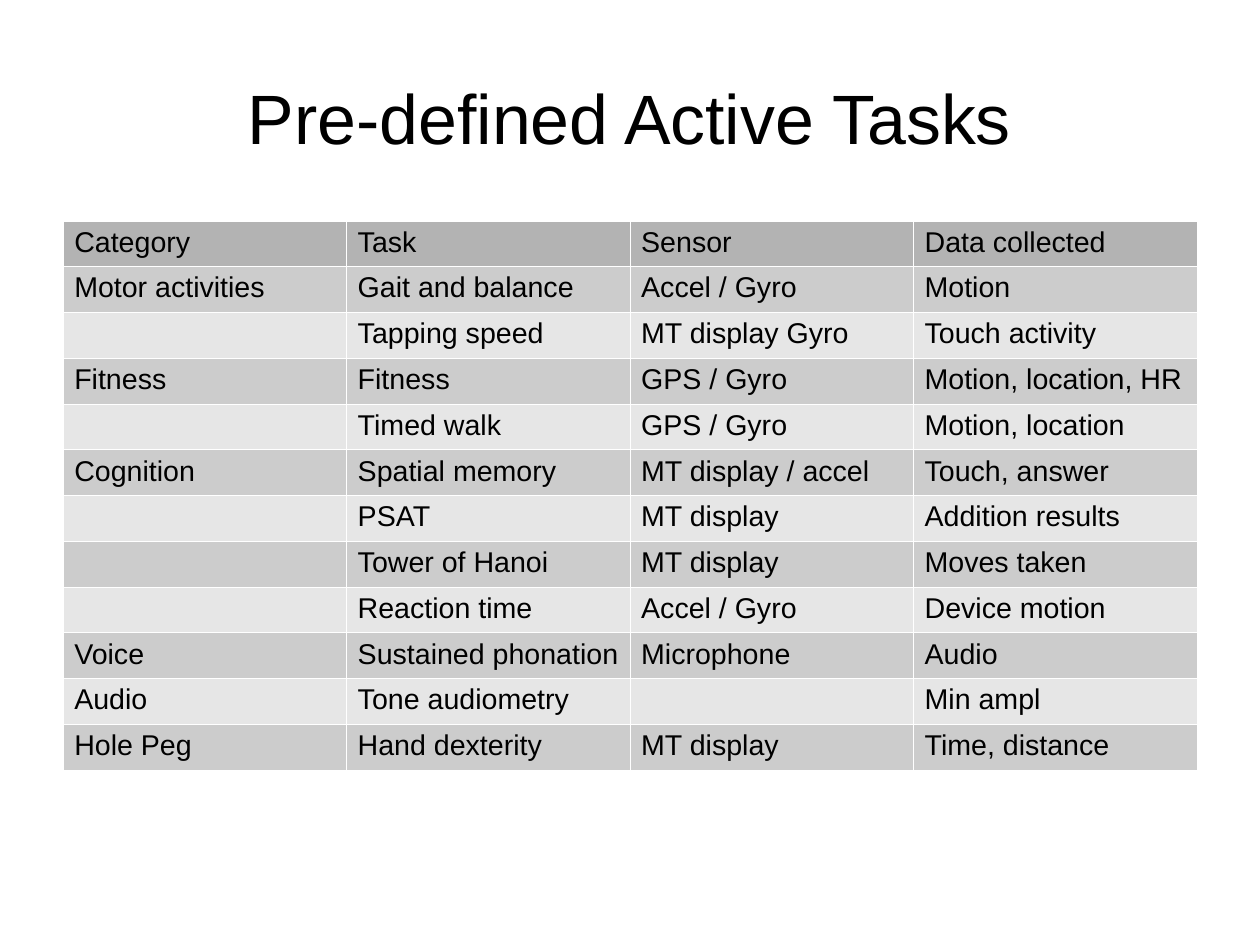
from lxml import etree
from pptx import Presentation
from pptx import util as u
from pptx.dml.color import RGBColor
from pptx.enum import text
from pptx.oxml.ns import qn

TITLE = "Pre-defined Active Tasks"
TASKS = [
    ("Category", "Task", "Sensor", "Data collected"),
    ("Motor activities", "Gait and balance", "Accel / Gyro", "Motion"),
    ("", "Tapping speed", "MT display Gyro", "Touch activity"),
    ("Fitness", "Fitness", "GPS / Gyro", "Motion, location, HR"),
    ("", "Timed walk", "GPS / Gyro", "Motion, location"),
    ("Cognition", "Spatial memory", "MT display / accel", "Touch, answer"),
    ("", "PSAT", "MT display", "Addition results"),
    ("", "Tower of Hanoi", "MT display", "Moves taken"),
    ("", "Reaction time", "Accel / Gyro", "Device motion"),
    ("Voice", "Sustained phonation", "Microphone", "Audio"),
    ("Audio", "Tone audiometry", "", "Min ampl"),
    ("Hole Peg", "Hand dexterity", "MT display", "Time, distance"),
]
THEME = {
    "font": "Arial", "ink": "000000", "border": "FFFFFF", "border_width": 0.06,
    "header": "B3B3B3", "bands": ("E6E6E6", "CCCCCC"),
    "title_size": 44, "cell_size": 18,
}
CM_PER_INCH = 2.54
PAGE_WIDTH, PAGE_HEIGHT = 28 / CM_PER_INCH, 21 / CM_PER_INCH
LEFT, WIDTH = 0.55, 9.92
TITLE_TOP, TITLE_HEIGHT = 0.33, 1.38
TABLE_TOP, ROW_HEIGHT = 1.93, 0.4


def write(frame, words, size, align=text.PP_ALIGN.LEFT):
    para = frame.paragraphs[0]
    para.alignment = align
    para.font.size = u.Pt(size)
    if words:
        span = para.add_run()
        span.text = words
        span.font.size = u.Pt(size)
        span.font.name = THEME["font"]
        span.font.color.rgb = RGBColor.from_string(THEME["ink"])


def set_borders(cell):
    properties = cell._tc.get_or_add_tcPr()
    for index, side in enumerate(("a:lnL", "a:lnR", "a:lnT", "a:lnB")):
        line = etree.Element(qn(side), w=str(u.Pt(THEME["border_width"])))
        fill = etree.SubElement(line, qn("a:solidFill"))
        etree.SubElement(fill, qn("a:srgbClr"), val=THEME["border"])
        properties.insert(index, line)


def add_title(page):
    box = page.shapes.add_textbox(*map(u.Inches, (LEFT, TITLE_TOP, WIDTH, TITLE_HEIGHT)))
    frame = box.text_frame
    frame.word_wrap = True
    frame.vertical_anchor = text.MSO_ANCHOR.MIDDLE
    frame.margin_left = frame.margin_right = frame.margin_top = frame.margin_bottom = 0
    write(frame, TITLE, THEME["title_size"], align=text.PP_ALIGN.CENTER)


def add_tasks(page):
    size = (LEFT, TABLE_TOP, WIDTH, ROW_HEIGHT * len(TASKS))
    table = page.shapes.add_table(len(TASKS), len(TASKS[0]), *map(u.Inches, size)).table
    table.first_row = table.horz_banding = False
    for row, entries in enumerate(TASKS):
        shade = THEME["bands"][row % 2] if row else THEME["header"]
        for column, words in enumerate(entries):
            cell = table.cell(row, column)
            cell.fill.solid()
            cell.fill.fore_color.rgb = RGBColor.from_string(shade)
            set_borders(cell)
            write(cell.text_frame, words, THEME["cell_size"])


def main():
    deck = Presentation()
    deck.slide_width = u.Inches(PAGE_WIDTH)
    deck.slide_height = u.Inches(PAGE_HEIGHT)
    deck.element.find(qn("p:sldSz")).attrib.pop("type", None)
    page = deck.slides.add_slide(deck.slide_layouts[6])
    add_title(page)
    add_tasks(page)
    deck.save("out.pptx")


if __name__ == "__main__":
    main()
